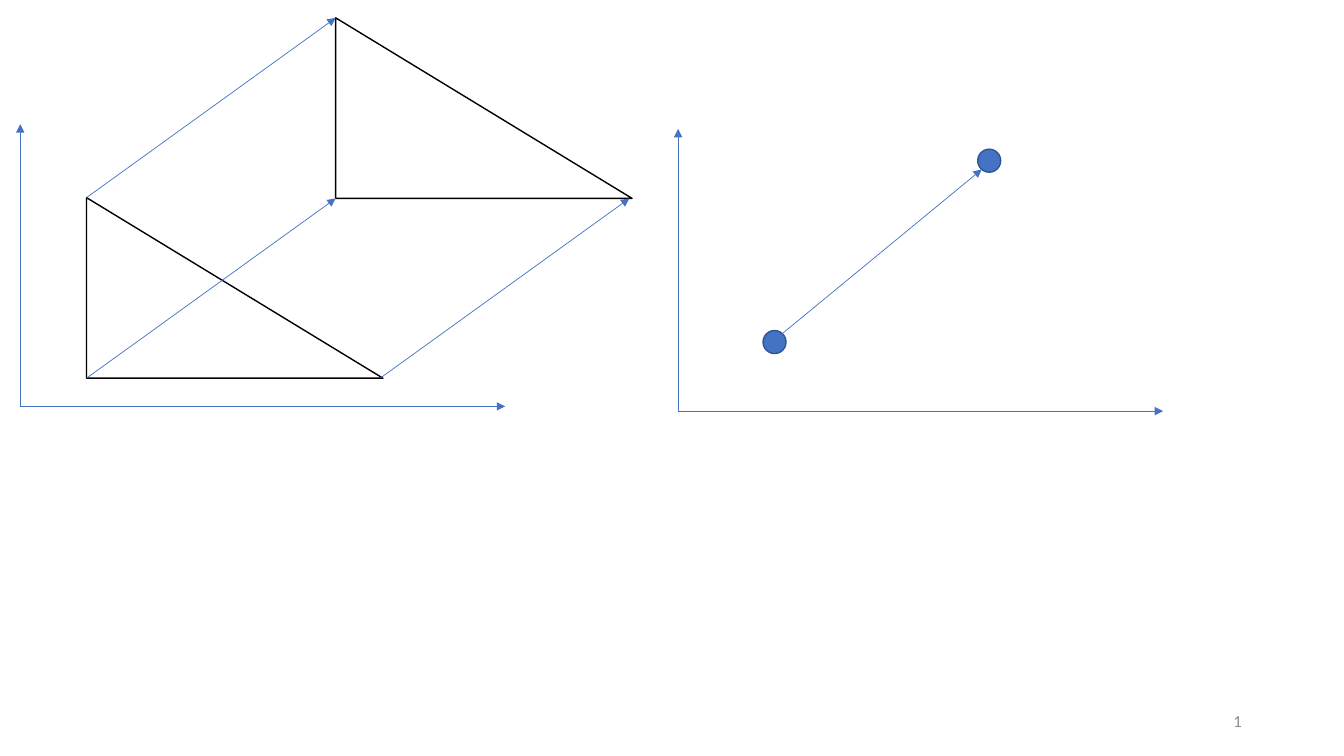
"""Build a slide showing the translation of a triangle and of a point."""
from lxml import etree
from pptx import Presentation
from pptx.dml.color import RGBColor
from pptx.enum.shapes import MSO_CONNECTOR, MSO_SHAPE
from pptx.enum.text import MSO_ANCHOR, PP_ALIGN
from pptx.oxml.ns import qn
from pptx.util import Cm, Pt

STRAIGHT = MSO_CONNECTOR.STRAIGHT
TRIANGLE, OVAL = MSO_SHAPE.RIGHT_TRIANGLE, MSO_SHAPE.OVAL
MIDDLE, RIGHT = MSO_ANCHOR.MIDDLE, PP_ALIGN.RIGHT
WHITE = RGBColor(0xFF, 0xFF, 0xFF)
BLACK = RGBColor(0x00, 0x00, 0x00)
BLUE = RGBColor(0x44, 0x72, 0xC4)
DARK_BLUE = RGBColor(0x32, 0x54, 0x91)
GRAY = RGBColor(0x8C, 0x8C, 0x8C)

TRIANGLE_LEFT, TRIANGLE_TOP = 2.18, 4.98
TRIANGLE_WIDTH, TRIANGLE_HEIGHT = 7.47, 4.55
SHIFT_X, SHIFT_Y = 6.28, -4.53
AXIS_WIDTH, AXIS_HEIGHT = 12.22, 7.11
DOT_SIZE = 0.58

presentation = Presentation()
presentation.slide_width, presentation.slide_height = Cm(33.87), Cm(19.05)
slide = presentation.slides.add_slide(presentation.slide_layouts[6])


def add_outlined_shape(kind, left, top, width, height, fill, outline):
    shape = slide.shapes.add_shape(kind, Cm(left), Cm(top), Cm(width), Cm(height))
    shape.shadow.inherit = False
    shape.fill.solid()
    shape.fill.fore_color.rgb = fill
    shape.line.color.rgb = outline
    shape.line.width = Pt(1)


def add_arrow(start_x, start_y, end_x, end_y):
    arrow = slide.shapes.add_connector(
        STRAIGHT, Cm(start_x), Cm(start_y), Cm(end_x), Cm(end_y))
    arrow.line.color.rgb = BLUE
    arrow.line.width = Pt(0.5)
    etree.SubElement(arrow.line._get_or_add_ln(), qn("a:tailEnd"), type="triangle")
    etree.SubElement(arrow._element.spPr, qn("a:effectLst"))


number_box = slide.shapes.add_textbox(Cm(23.93), Cm(17.65), Cm(7.62), Cm(1.02))
number_box.text_frame.word_wrap = True
number_box.text_frame.vertical_anchor = MIDDLE
paragraph = number_box.text_frame.paragraphs[0]
paragraph.text = "1"
paragraph.alignment = RIGHT
for name, value in {"name": "Calibri", "size": Pt(12)}.items():
    setattr(paragraph.font, name, value)
paragraph.font.color.rgb = GRAY

for step in range(2):
    add_outlined_shape(
        TRIANGLE, TRIANGLE_LEFT + step * SHIFT_X, TRIANGLE_TOP + step * SHIFT_Y,
        TRIANGLE_WIDTH, TRIANGLE_HEIGHT, WHITE, BLACK)

for origin_x, origin_y in [(0.51, 10.24), (17.09, 10.36)]:
    add_arrow(origin_x, origin_y, origin_x, origin_y - AXIS_HEIGHT)
    add_arrow(origin_x, origin_y, origin_x + AXIS_WIDTH, origin_y)

triangle_bottom = TRIANGLE_TOP + TRIANGLE_HEIGHT
triangle_corners = [
    (TRIANGLE_LEFT, TRIANGLE_TOP),
    (TRIANGLE_LEFT, triangle_bottom),
    (9.58, triangle_bottom),
]
for corner_x, corner_y in triangle_corners:
    add_arrow(corner_x, corner_y, corner_x + SHIFT_X, corner_y + SHIFT_Y)

for dot_left, dot_top in [(19.23, 8.33), (24.64, 3.76)]:
    add_outlined_shape(OVAL, dot_left, dot_top, DOT_SIZE, DOT_SIZE, BLUE, DARK_BLUE)
add_arrow(19.71, 8.41, 24.74, 4.27)

presentation.save("out.pptx")
